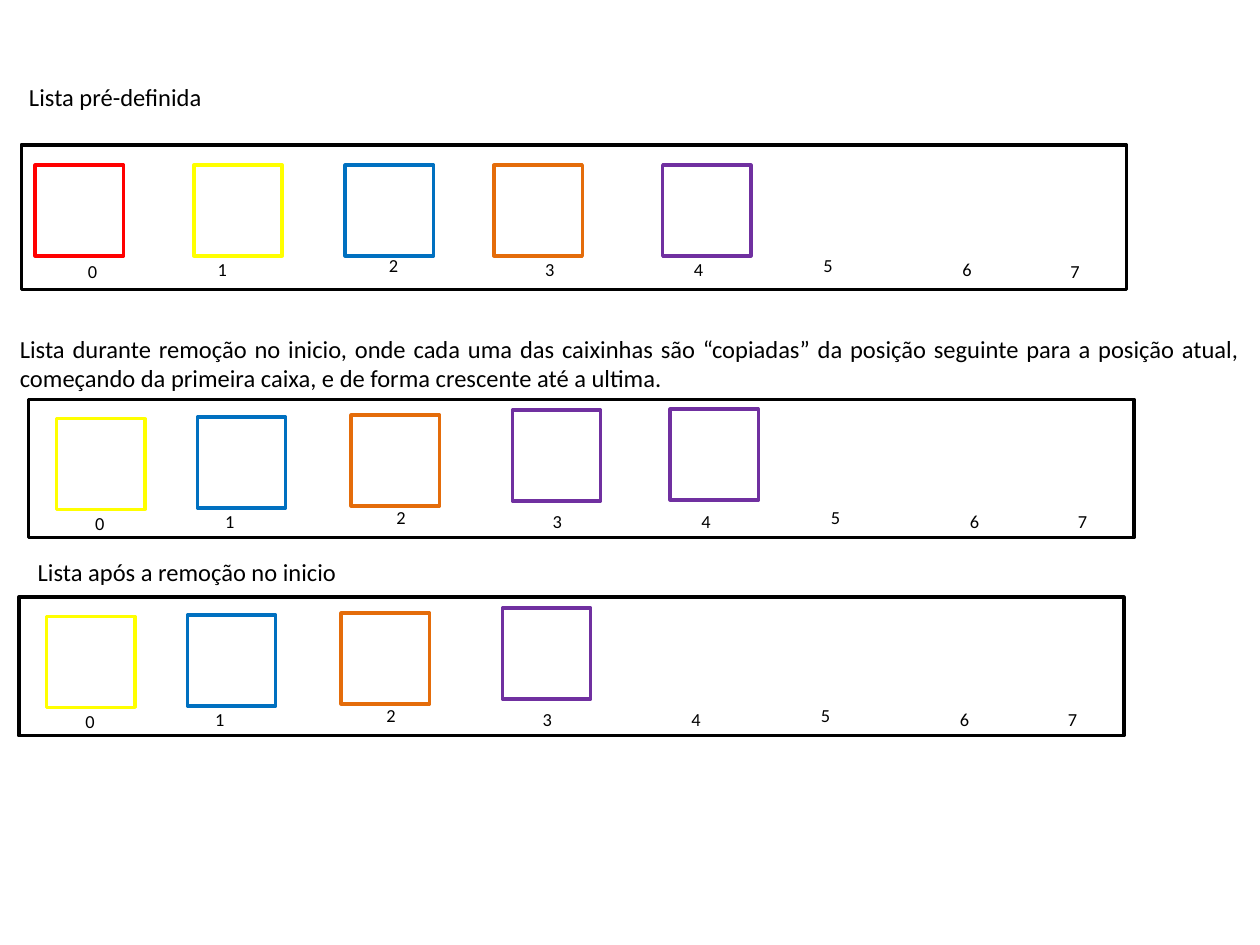
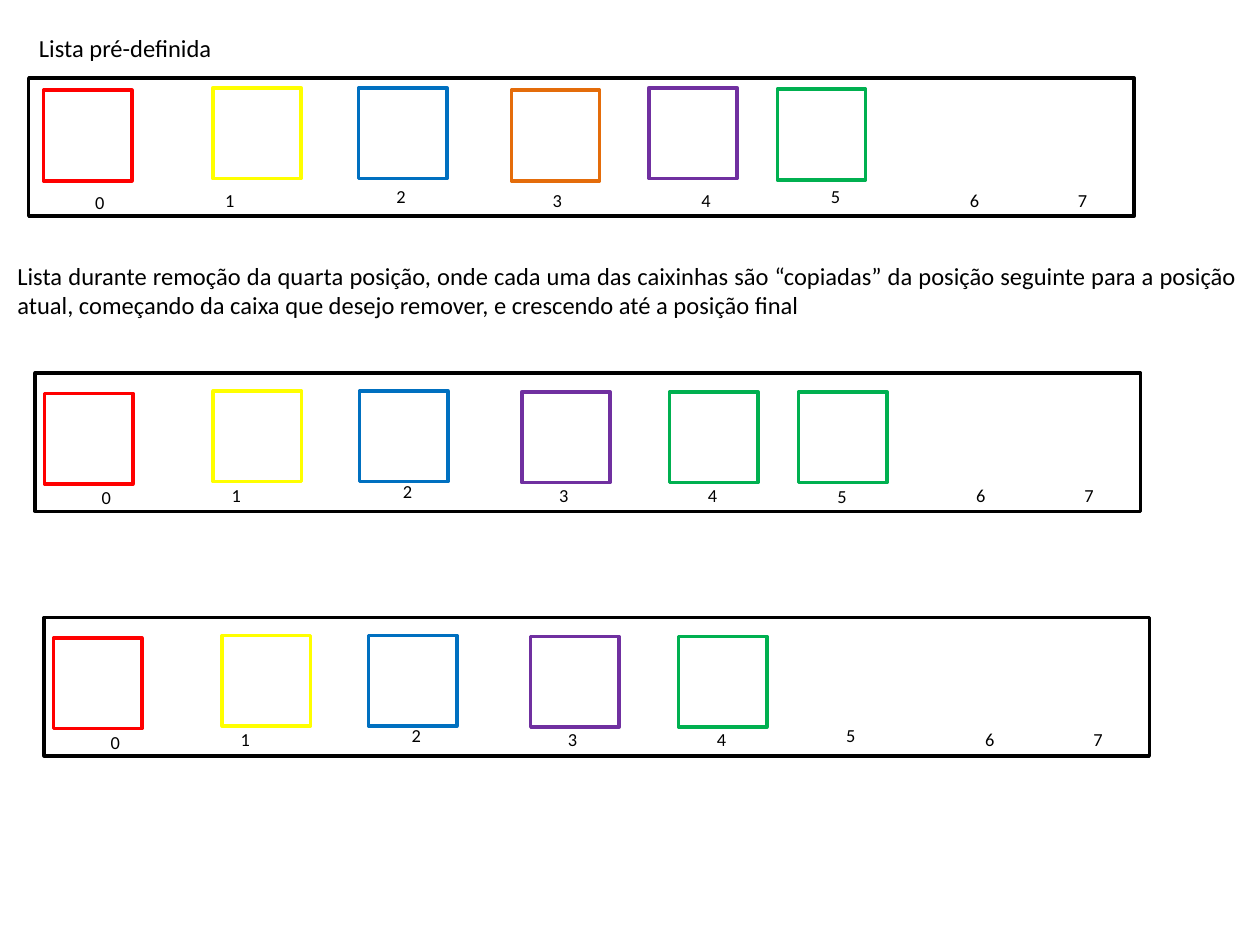
from typing import NamedTuple

from pptx import Presentation
from pptx.dml.color import RGBColor
from pptx.enum.shapes import MSO_SHAPE as Form
from pptx.enum.text import MSO_ANCHOR as Anchor
from pptx.enum.text import MSO_AUTO_SIZE as Fit
from pptx.enum.text import PP_ALIGN as Align
from pptx.util import Cm, Pt

FONT = "Calibri"
BLACK, RED, YELLOW, BLUE = "000000", "FF0000", "FFFF00", "0070C0"
ORANGE, PURPLE, GREEN = "E46C0A", "7030A0", "00B050"

# All lengths are in centimetres.
WIDE, SIDE, TALL = 22.28, 1.78, 1.83


class Spot(NamedTuple):
    x: float
    y: float


class Note(NamedTuple):
    text: str
    x: float
    y: float
    w: float
    h: float = 0.86
    align: Align = Align.LEFT


class Row(NamedTuple):
    x: float
    y: float
    hues: list[str]
    spots: list[Spot]
    h: float = 2.79
    drop: float = 2.16
    shifts: dict[int, float] = {}


class Page(NamedTuple):
    title: Note
    notes: list[Note]
    rows: list[Row]


# Places of the boxes and index labels, measured from their row's corner.
LEVEL = [Spot(x, 0.41) for x in (0.28, 3.48, 6.53, 9.53, 12.93)]
RISING = [Spot(0.56, 0.39), Spot(3.4, 0.36), Spot(6.5, 0.32),
          Spot(9.75, 0.22), Spot(12.93, 0.2)]
FULL = [Spot(0.3, 0.25), Spot(3.71, 0.2), Spot(6.65, 0.2),
        Spot(9.73, 0.25), Spot(12.5, 0.2), Spot(15.09, 0.23)]
SPACED = [Spot(0.19, 0.41), Spot(3.59, 0.36), Spot(6.54, 0.36),
          Spot(9.81, 0.38), Spot(12.79, 0.38), Spot(15.39, 0.38)]
MARKS = [Spot(1.09, 0), Spot(3.71, -0.05), Spot(7.16, -0.13),
         Spot(10.31, -0.05), Spot(13.31, -0.05), Spot(15.92, -0.13),
         Spot(18.72, -0.05), Spot(20.9, -0.05)]

HEAD = "Lista pré-definida"
PAGES = [
    Page(
        Note(HEAD, 0.33, 1.52, 5.16),
        [
            Note("Lista durante remoção no inicio, onde cada uma das caixinhas "
                 "são “copiadas” da posição seguinte para a posição atual, "
                 "começando da primeira caixa, e de forma crescente até a "
                 "ultima.", 0.15, 6.6, 25.1, 1.45, Align.JUSTIFY),
            Note("Lista após a remoção no inicio", 0.51, 11.1, 6.76,
                 align=Align.JUSTIFY),
        ],
        [
            Row(0.43, 2.92, [RED, YELLOW, BLUE, ORANGE, PURPLE], LEVEL,
                2.92, 2.21, {7: 0.05}),
            Row(0.58, 8.05, [YELLOW, BLUE, ORANGE, PURPLE, PURPLE], RISING),
            Row(0.38, 12.04, [YELLOW, BLUE, ORANGE, PURPLE], RISING),
        ],
    ),
    Page(
        Note(HEAD, 0.53, 0.53, 5.16),
        [
            Note("Lista durante remoção da quarta posição, onde cada uma das "
                 "caixinhas são “copiadas” da posição seguinte para a posição "
                 "atual, começando da caixa que desejo remover, e crescendo "
                 "até a posição final", 0.1, 5.13, 25.1, 1.45, Align.JUSTIFY),
        ],
        [
            Row(0.58, 1.57, [RED, YELLOW, BLUE, ORANGE, PURPLE, GREEN], FULL),
            Row(0.71, 7.52, [RED, YELLOW, BLUE, PURPLE, GREEN, GREEN], SPACED,
                shifts={5: 0.1}),
            Row(0.89, 12.45, [RED, YELLOW, BLUE, PURPLE, GREEN], SPACED),
        ],
    ),
]


def paint(tone: str) -> RGBColor:
    return RGBColor.from_string(tone)


def write(shape, note: Note, size: float = 14) -> None:
    """Fill a text box or placeholder with one run of text."""
    frame = shape.text_frame
    frame.word_wrap = True
    frame.auto_size = Fit.SHAPE_TO_FIT_TEXT
    frame.vertical_anchor = Anchor.TOP
    para = frame.paragraphs[0]
    para.alignment = note.align
    run = para.add_run()
    run.text = note.text
    run.font.name, run.font.size = FONT, Pt(size)
    run.font.color.rgb = paint(BLACK)


def add_note(slide, note: Note, size: float = 14) -> None:
    box = slide.shapes.add_textbox(
        Cm(note.x), Cm(note.y), Cm(note.w), Cm(note.h))
    write(box, note, size)


def set_title(slide, note: Note) -> None:
    title = slide.shapes.title
    title.left, title.top = Cm(note.x), Cm(note.y)
    title.width, title.height = Cm(note.w), Cm(note.h)
    write(title, note)


def add_rect(slide, x: float, y: float, w: float, h: float,
             tone: str) -> None:
    rect = slide.shapes.add_shape(
        Form.RECTANGLE, Cm(x), Cm(y), Cm(w), Cm(h))
    rect.shadow.inherit = False
    rect.fill.background()
    rect.line.color.rgb = paint(tone)
    rect.line.width = Pt(2)


def add_row(slide, row: Row) -> None:
    """Draw a list: its frame, its coloured boxes and its index labels."""
    add_rect(slide, row.x, row.y, WIDE, row.h, BLACK)
    for hue, spot in zip(row.hues, row.spots):
        add_rect(slide, row.x + spot.x, row.y + spot.y, SIDE, TALL, hue)
    for num, mark in enumerate(MARKS):
        y = row.y + row.drop + mark.y + row.shifts.get(num, 0)
        add_note(slide, Note(str(num), row.x + mark.x, y, 0.76, 0.71), 10.5)


def main() -> None:
    deck = Presentation()
    deck.slide_width, deck.slide_height = Cm(25.4), Cm(19.05)
    layout = deck.slide_layouts.get_by_name("Title Only")
    for page in PAGES:
        slide = deck.slides.add_slide(layout)
        set_title(slide, page.title)
        for row in page.rows:
            add_row(slide, row)
        for note in page.notes:
            add_note(slide, note)
    deck.save("out.pptx")


if __name__ == "__main__":
    main()
